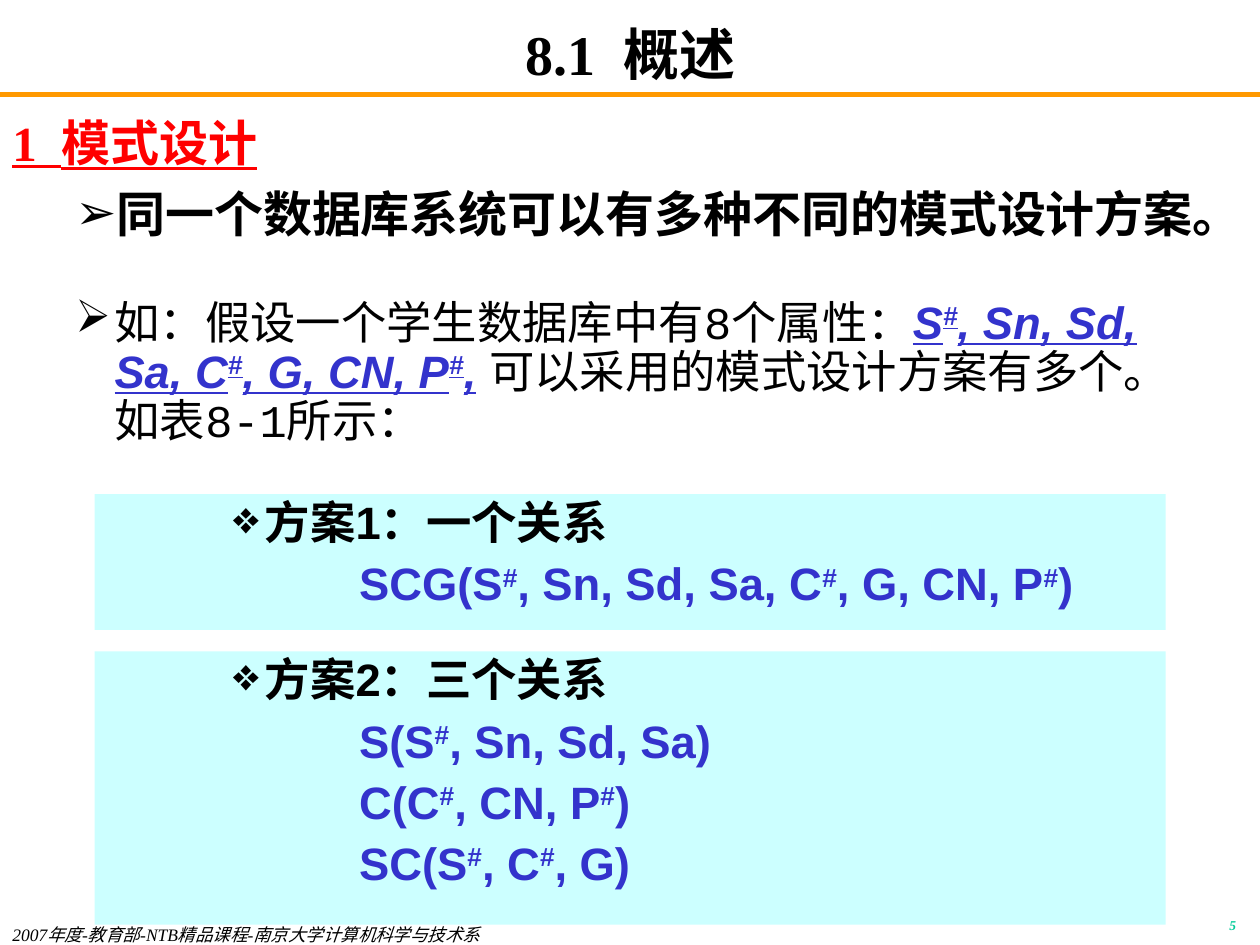
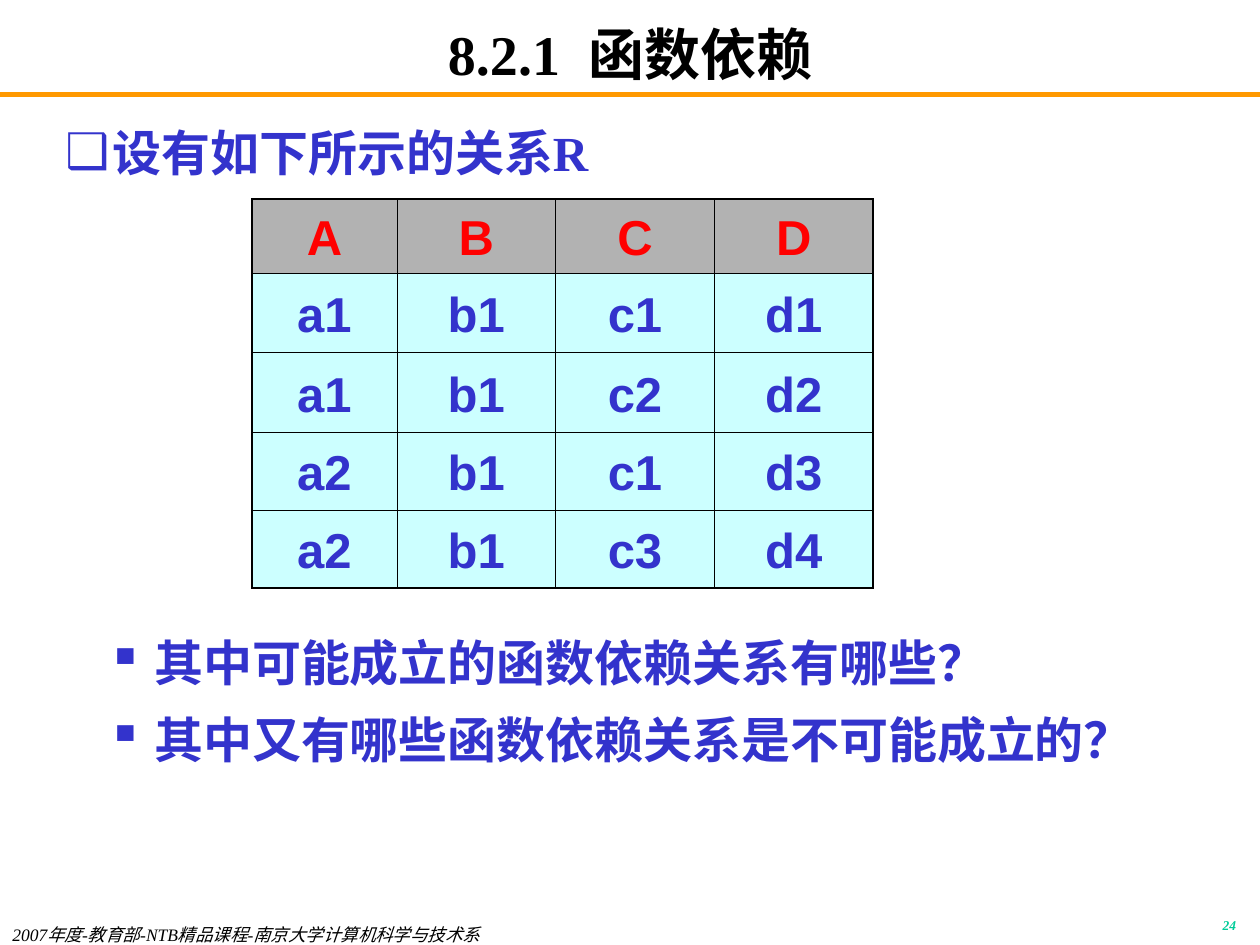
from lxml import etree
from pptx import Presentation
from pptx.dml.color import RGBColor
from pptx.enum.lang import MSO_LANGUAGE_ID
from pptx.enum.shapes import MSO_CONNECTOR, MSO_SHAPE
from pptx.enum.text import MSO_ANCHOR, MSO_AUTO_SIZE, PP_ALIGN
from pptx.oxml.ns import qn
from pptx.util import Cm, Pt

LEFT, CENTER, RIGHT = PP_ALIGN.LEFT, PP_ALIGN.CENTER, PP_ALIGN.RIGHT
TOP, MIDDLE = MSO_ANCHOR.TOP, MSO_ANCHOR.MIDDLE
NO_FIT = MSO_AUTO_SIZE.NONE
RECT, STRAIGHT = MSO_SHAPE.RECTANGLE, MSO_CONNECTOR.STRAIGHT
CHINESE = MSO_LANGUAGE_ID.SIMPLIFIED_CHINESE

COLORS = {
    "text": "000000", "rule": "FF9900", "number": "00CC99", "accent": "3333CC",
    "red": "FF0000", "panel": "CCFFFF", "header": "B2B2B2",
}
SERIF, SANS, MONO = "Times New Roman", "Arial", "Courier New"
FOOTER = "2007年度-教育部-NTB精品课程-南京大学计算机科学与技术系"

# Paragraph styles: level, left margin and first-line indent in cm
HEADING = {"indent": (0.95, -0.95)}
POINT = {"level": 1, "indent": (2.06, -0.79), "bullet": "➢"}
SCHEME = {"level": 2, "indent": (3.18, -0.64), "bullet": "❖", "spacing": 0.9}
RELATION = {"level": 4, "indent": (5.72, -0.64), "spacing": 0.9}

# Run styles
HEAD_RUN = {"size": 28, "bold": True}
BODY_RUN = {"size": 25.9, "font": MONO}
SANS_RUN = {"size": 25.9, "font": SANS, "bold": True}
BLUE_HEAD = {**HEAD_RUN, "color": "accent"}
BLUE_RUN = {**SANS_RUN, "color": "accent"}
ATTRIBUTES = {**BLUE_RUN, "italic": True, "underline": True}


def rgb(name):
    return RGBColor.from_string(COLORS[name])


class Deck:
    """Holds the shared style and the slide being built."""

    def __init__(self):
        self.prs = Presentation()
        self.prs.slide_width, self.prs.slide_height = Cm(25.4), Cm(19.05)
        self.s = None

    def new_slide(self, title, number):
        self.s = self.prs.slides.add_slide(self.prs.slide_layouts[1])
        self.rule(1.91)
        tf = self.textbox((19.89, 18.42, 5.28, 0.64))
        self.paragraph(tf, [(number, {"size": 7.7, "color": "number", "bold": True,
                                      "italic": True})], align=RIGHT, spacing=0.8)
        tf = self.textbox((0, 18.62, 13.97, 0.43), margin=0)
        self.paragraph(tf, [(FOOTER, {"size": 10, "italic": True})])
        tf = self.placeholder(0, (1.91, 0.43, 21.59, 1.27), margin=0, anchor=MIDDLE)
        self.paragraph(tf, [(title, {"size": 32, "bold": True})], align=CENTER)

    def rule(self, y):
        sp = self.s.shapes.add_connector(STRAIGHT, 0, Cm(y), self.prs.slide_width, Cm(y))
        sp.line.color.rgb = rgb("rule")
        sp.line.width = Pt(3)
        etree.SubElement(sp._element.spPr, qn("a:effectLst"))

    def frame(self, sp, margin, anchor):
        tf = sp.text_frame
        tf.word_wrap, tf.auto_size, tf.vertical_anchor = True, NO_FIT, anchor
        tf.margin_left = tf.margin_right = Cm(0.25)
        tf.margin_top = tf.margin_bottom = Cm(margin)
        return tf

    def textbox(self, box, margin=0.13):
        sp = self.s.shapes.add_textbox(*map(Cm, box))
        return self.frame(sp, margin, TOP)

    def placeholder(self, idx, box, margin=0.13, anchor=TOP):
        sp = self.s.placeholders[idx]
        sp.left, sp.top, sp.width, sp.height = map(Cm, box)
        return self.frame(sp, margin, anchor)

    def panel(self, box):
        sp = self.s.shapes.add_shape(RECT, *map(Cm, box))
        sp.shadow.inherit = False
        sp.fill.solid()
        sp.fill.fore_color.rgb = rgb("panel")
        sp.line.fill.background()
        return self.frame(sp, 0.13, TOP)

    def paragraph(self, tf, runs, level=0, indent=(0, 0), bullet=None,
                  spacing=1.0, align=LEFT):
        """Fill the empty first paragraph, or add one with space before it."""
        first = not tf.paragraphs[0].runs
        p = tf.paragraphs[0] if first else tf.add_paragraph()
        p.level, p.alignment, p.line_spacing = level, align, spacing
        p.space_before, p.space_after = Pt(0 if first else 7), Pt(0)
        pPr = p._p.get_or_add_pPr()
        pPr.set("marL", str(Cm(indent[0])))
        pPr.set("indent", str(Cm(indent[1])))
        if bullet:
            clr = etree.SubElement(pPr, qn("a:buClr"))
            color = COLORS[runs[0][1].get("color", "text")]
            etree.SubElement(clr, qn("a:srgbClr"), val=color)
            etree.SubElement(pPr, qn("a:buChar"), char=bullet)
        else:
            etree.SubElement(pPr, qn("a:buNone"))
        for text, style in runs:
            self.runs(p, text, **style)

    def runs(self, p, text, **style):
        """Add text with every # raised as a superscript."""
        for i, part in enumerate(text.split("#")):
            if i:
                r = self.run(p, "#", **style)
                r._r.get_or_add_rPr().set("baseline", "30000")
            if part:
                self.run(p, part, **style)

    def run(self, p, text, size, font=SERIF, color="text", bold=False,
            italic=False, underline=False):
        r = p.add_run()
        r.text = text
        f = r.font
        f.size, f.name, f.language_id = Pt(size), font, CHINESE
        f.bold, f.italic, f.underline = bold, italic, underline
        f.color.rgb = rgb(color)
        return r

    def table(self, box, widths, heights, rows):
        sp = self.s.shapes.add_table(len(rows), len(widths), *map(Cm, box))
        table = sp.table
        table.first_row = table.horz_banding = False
        for column, width in zip(table.columns, widths):
            column.width = Cm(width)
        for i, (row, height) in enumerate(zip(rows, heights)):
            table.rows[i].height = Cm(height)
            for j, text in enumerate(row):
                cell = table.cell(i, j)
                outer = {"L": j == 0, "R": j == len(row) - 1,
                         "T": i == 0, "B": i == len(rows) - 1}
                self.borders(cell, outer)
                cell.fill.solid()
                cell.fill.fore_color.rgb = rgb("panel" if i else "header")
                cell.vertical_anchor = MIDDLE
                style = {**SANS_RUN, "size": 28, "color": "accent" if i else "red"}
                self.paragraph(cell.text_frame, [(text, style)], spacing=1.1, align=CENTER)

    def borders(self, cell, outer):
        """Draw all four sides, heavier on the outside of the table."""
        tcPr = cell._tc.get_or_add_tcPr()
        for side, is_outer in outer.items():
            width = Pt(1.08 if is_outer else 0.45)
            ln = etree.SubElement(tcPr, qn(f"a:ln{side}"), w=str(width))
            fill = etree.SubElement(ln, qn("a:solidFill"))
            etree.SubElement(fill, qn("a:srgbClr"), val=COLORS["text"])


def schema_design(deck):
    deck.new_slide("8.1  概述", "5")
    tf = deck.placeholder(1, (0, 2.13, 25.4, 3.18))
    deck.paragraph(tf, [("1  模式设计", {**HEAD_RUN, "color": "red", "underline": True})],
                   **HEADING)
    deck.paragraph(tf, [("同一个数据库系统可以有多种不同的模式设计方案。", HEAD_RUN)], **POINT)

    tf = deck.textbox((0, 5.92, 24.33, 3.61))
    deck.paragraph(tf, [
        ("如：假设一个学生数据库中有8个属性：", BODY_RUN),
        ("S#, Sn, Sd, Sa, C#, G, CN, P#,", ATTRIBUTES),
        (" ", {"size": 25.9, "font": SANS}),
        ("可以采用的模式设计方案有多个。如表8-1所示：", BODY_RUN),
    ], **POINT, spacing=0.9)

    schemes = [
        (9.96, 2.74, "方案1：一个关系", ["SCG(S#, Sn, Sd, Sa, C#, G, CN, P#)"]),
        (13.13, 5.51, "方案2：三个关系",
         ["S(S#, Sn, Sd, Sa)", "C(C#, CN, P#)", "SC(S#, C#, G)"]),
    ]
    for top, height, name, relations in schemes:
        tf = deck.panel((1.91, top, 21.59, height))
        deck.paragraph(tf, [(name, SANS_RUN)], **SCHEME)
        for relation in relations:
            deck.paragraph(tf, [(relation, BLUE_RUN)], **RELATION)


def functional_dependency(deck):
    deck.new_slide("8.2.1  函数依赖", "24")
    tf = deck.placeholder(1, (1.07, 2.34, 23.29, 1.47))
    deck.paragraph(tf, [("设有如下所示的关系R", BLUE_HEAD)], **HEADING, bullet="❑")

    rows = ["A B C D", "a1 b1 c1 d1", "a1 b1 c2 d2", "a2 b1 c1 d3", "a2 b1 c3 d4"]
    deck.table((5.08, 4.01, 12.5, 7.82), [2.92] + [3.2] * 3,
               [1.5, 1.6, 1.6, 1.57, 1.57], [row.split() for row in rows])

    tf = deck.textbox((1.91, 12.5, 22.66, 3.18))
    for question in ("其中可能成立的函数依赖关系有哪些？",
                     "其中又有哪些函数依赖关系是不可能成立的？"):
        deck.paragraph(tf, [(question, BLUE_HEAD)], **HEADING, bullet="▪", spacing=1.1)


def main():
    deck = Deck()
    schema_design(deck)
    functional_dependency(deck)
    deck.prs.save("out.pptx")


if __name__ == "__main__":
    main()
